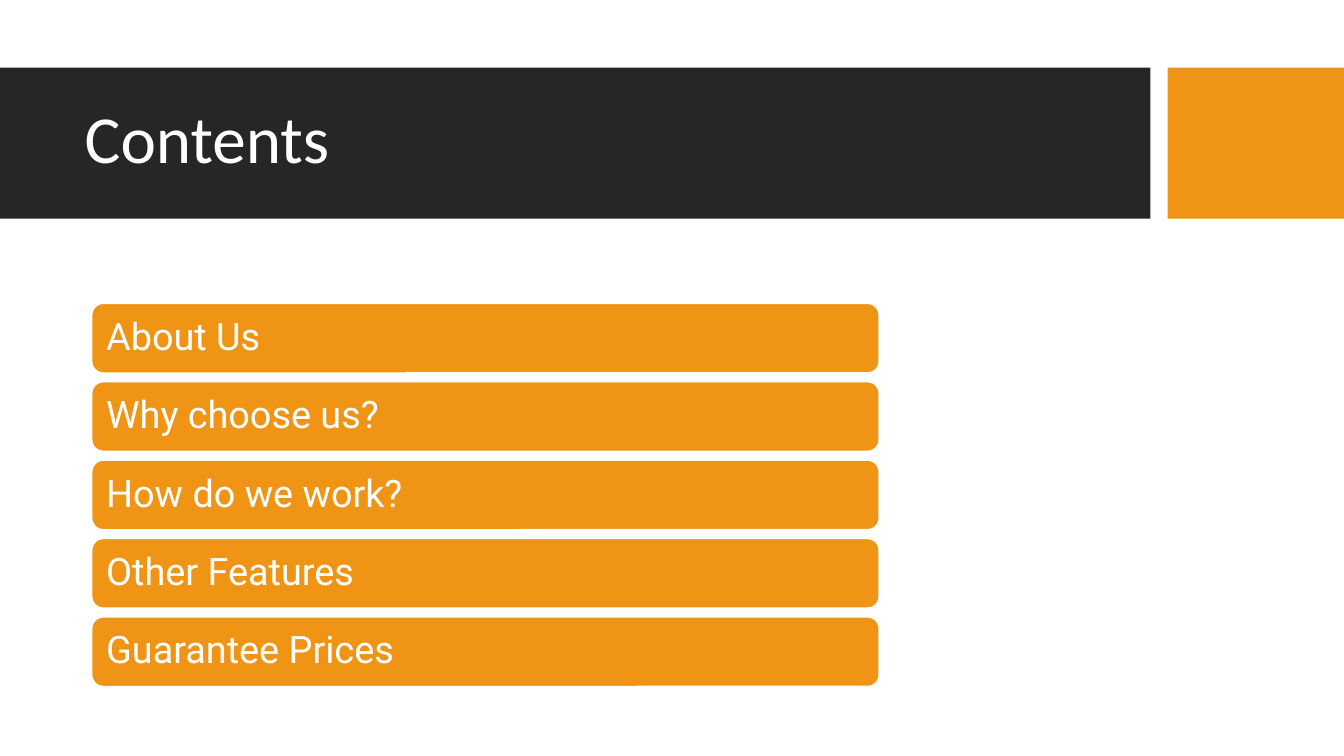
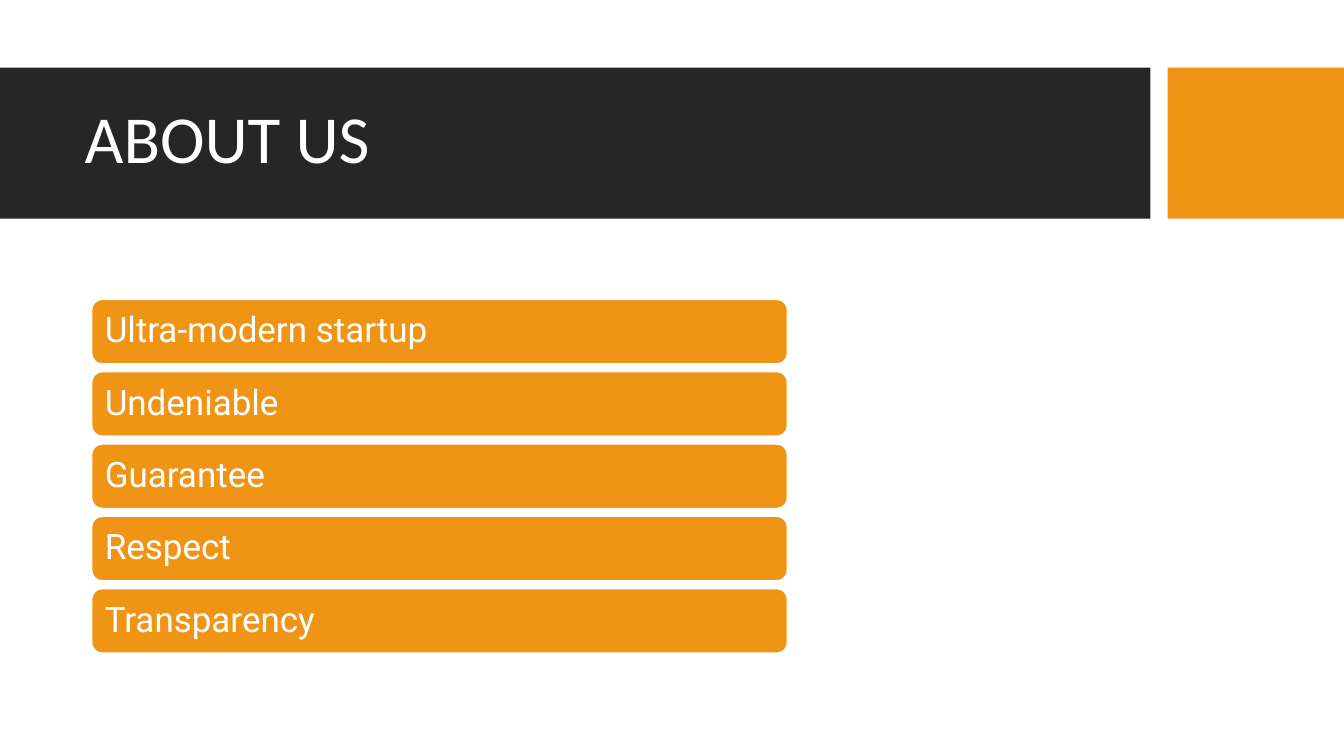
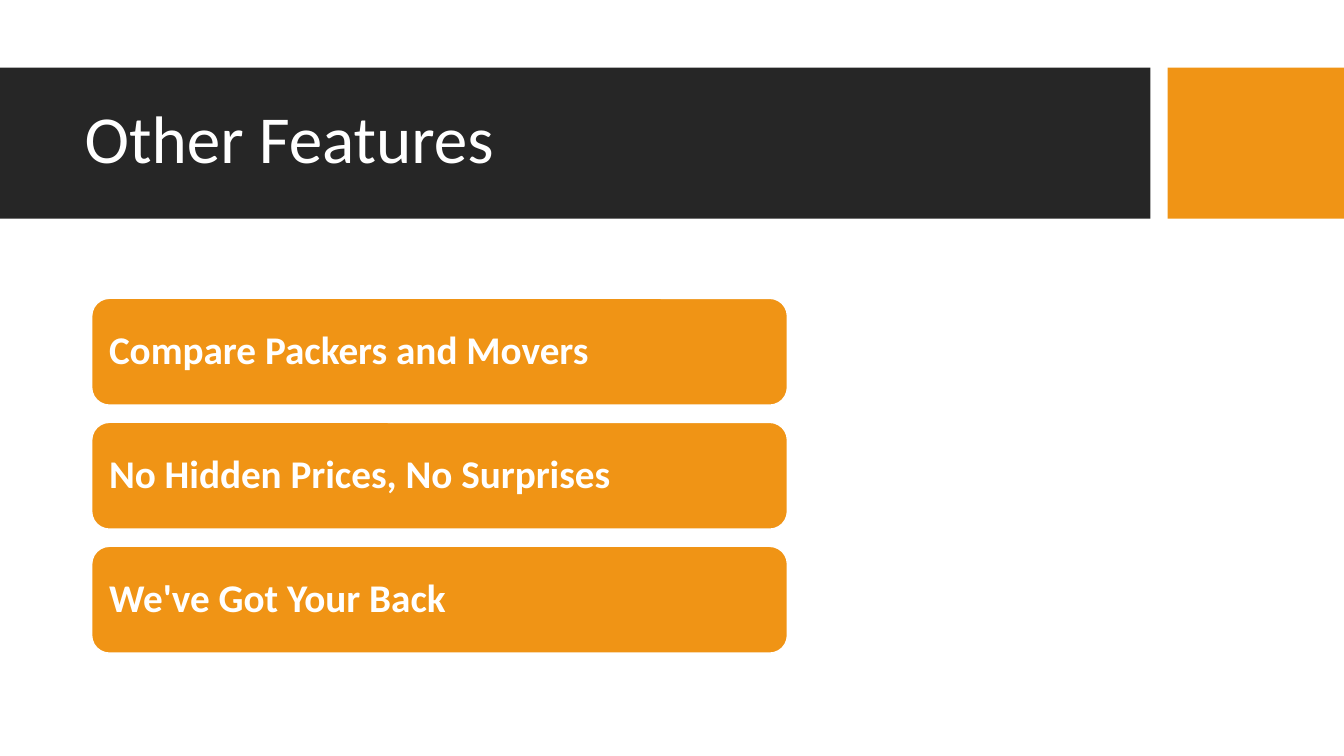
import pptx
import pptx.util
import pptx.dml.color
import pptx.enum.shapes
import pptx.enum.text

SLIDE_WIDTH, SLIDE_HEIGHT = 13.33, 7.5
DARK, ORANGE, WHITE = "262626", "F09415", "FFFFFF"
BAND_TOP, BAND_HEIGHT = 0.67, 1.5
ACCENT_WIDTH, BAND_GAP = 1.75, 0.17
TITLE_AREA = (0.74, 0.82, 10.51, 1.18)
BAR_LEFT = 0.91

AGENDA = [
    {
        "title": "Contents",
        "topics": ["About Us", "Why choose us?", "How do we work?",
                   "Other Features", "Guarantee Prices"],
        "top": 3.01, "bottom": 6.81, "width": 7.81, "height": 0.69,
        "style": {"size": 27, "font": "Roboto", "inset": 0.11},
    },
    {
        "title": "ABOUT US",
        "topics": ["Ultra-modern startup", "Undeniable", "Guarantee",
                   "Respect", "Transparency"],
        "top": 2.97, "bottom": 6.48, "width": 6.9, "height": 0.64,
        "style": {"size": 25, "font": "Roboto", "inset": 0.1},
    },
    {
        "title": "Other Features",
        "topics": ["Compare Packers and Movers",
                   "No Hidden Prices, No Surprises",
                   "We've Got Your Back"],
        "top": 2.96, "bottom": 6.48, "width": 6.9, "height": 1.06,
        "style": {"size": 28, "font": "Calibri", "inset": 0.12, "bold": True},
    },
]


def color(value):
    return pptx.dml.color.RGBColor.from_string(value)


def inches(*lengths):
    return [pptx.util.Inches(length) for length in lengths]


def write(shape, text, size, font="Calibri", bold=False, inset=0.1, ink=WHITE):
    frame = shape.text_frame
    frame.text = text
    frame.word_wrap = True
    frame.auto_size = pptx.enum.text.MSO_AUTO_SIZE.NONE
    frame.vertical_anchor = pptx.enum.text.MSO_ANCHOR.MIDDLE
    frame.margin_left = frame.margin_right = pptx.util.Inches(inset)
    frame.margin_top = frame.margin_bottom = pptx.util.Inches(inset)
    line = frame.paragraphs[0]
    line.alignment = pptx.enum.text.PP_ALIGN.LEFT
    line.line_spacing = 0.9
    line.font.size = pptx.util.Pt(size)
    line.font.name = font
    line.font.bold = bold
    line.font.color.rgb = color(ink)


def add_block(slide, kind, area, fill, outline=None):
    block = slide.shapes.add_shape(kind, *inches(*area))
    block.shadow.inherit = False
    block.fill.solid()
    block.fill.fore_color.rgb = color(fill)
    if outline:
        block.line.color.rgb = color(outline)
        block.line.width = pptx.util.Pt(1)
    else:
        block.line.fill.background()
    return block


def add_header(slide, text):
    rectangle = pptx.enum.shapes.MSO_SHAPE.RECTANGLE
    accent_left = SLIDE_WIDTH - ACCENT_WIDTH
    for left, width, fill in [(0, accent_left - BAND_GAP, DARK),
                              (accent_left, ACCENT_WIDTH, ORANGE)]:
        add_block(slide, rectangle, (left, BAND_TOP, width, BAND_HEIGHT), fill)
    title = slide.shapes.title
    title.left, title.top, title.width, title.height = inches(*TITLE_AREA)
    write(title, text, 48, inset=0.1)
    title.element.getparent().append(title.element)


def add_topics(slide, section):
    topics, height = section["topics"], section["height"]
    pitch = (section["bottom"] - section["top"] - height) / (len(topics) - 1)
    for row, topic in enumerate(topics):
        area = (BAR_LEFT, section["top"] + row * pitch, section["width"], height)
        bar = add_block(slide, pptx.enum.shapes.MSO_SHAPE.ROUNDED_RECTANGLE,
                        area, ORANGE, outline=WHITE)
        write(bar, topic, **section["style"])


def main():
    deck = pptx.Presentation()
    deck.slide_width, deck.slide_height = inches(SLIDE_WIDTH, SLIDE_HEIGHT)
    title_only = deck.slide_layouts[5]
    for section in AGENDA:
        slide = deck.slides.add_slide(title_only)
        add_header(slide, section["title"])
        add_topics(slide, section)
    deck.save("out.pptx")


if __name__ == "__main__":
    main()
